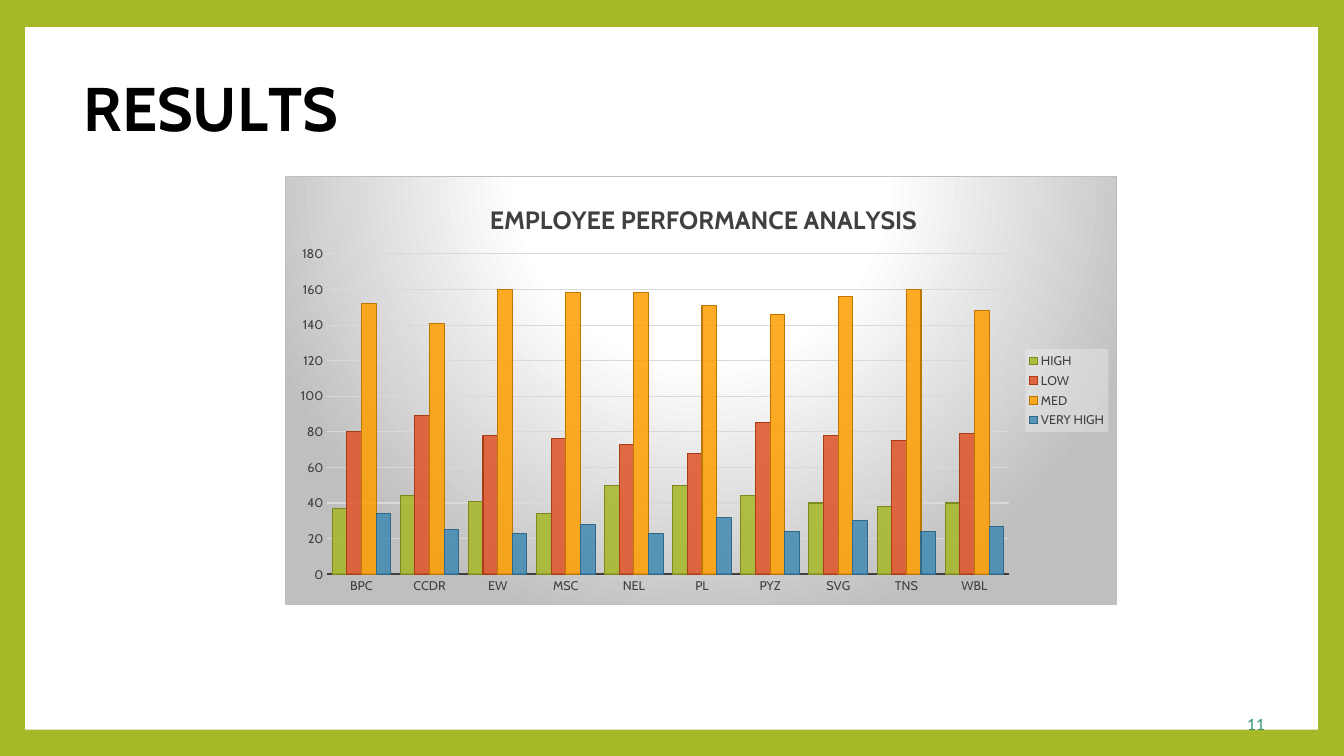
from dataclasses import dataclass

from lxml import etree
from pptx import Presentation
from pptx.chart.data import CategoryChartData
from pptx.dml.color import RGBColor
from pptx.enum.chart import XL_CHART_TYPE, XL_LEGEND_POSITION, XL_TICK_MARK
from pptx.enum.shapes import MSO_SHAPE
from pptx.enum.text import MSO_ANCHOR, PP_ALIGN
from pptx.oxml import parse_xml
from pptx.oxml.ns import nsdecls, qn
from pptx.util import Inches, Pt

COLUMNS = XL_CHART_TYPE.COLUMN_CLUSTERED
LEGEND_RIGHT = XL_LEGEND_POSITION.RIGHT
NO_TICK = XL_TICK_MARK.NONE
RECT = MSO_SHAPE.RECTANGLE
MIDDLE = MSO_ANCHOR.MIDDLE
LEFT = PP_ALIGN.LEFT
TITLE_ONLY = 5


@dataclass(frozen=True)
class Theme:
    frame: str = "A6B727"
    paper: str = "FFFFFF"
    ink: str = "000000"
    number: str = "2D936B"
    label: str = "404040"
    grid: str = "D9D9D9"
    edge: str = "BFBFBF"
    legend: str = "F2F2F2"
    font: str = "Cabin"
    number_font: str = "Lato"
    title_size: int = 44
    number_size: int = 11
    chart_title_size: int = 18
    label_size: int = 9
    hairline: float = 0.75


THEME = Theme()

# Title letters with their tracking in hundredths of a point
TITLE_RUNS = [("RESU", 0), ("L", -400), ("TS", 0)]

TEAMS = ["BPC", "CCDR", "EW", "MSC", "NEL", "PL", "PYZ", "SVG", "TNS", "WBL"]
# Rating: fill, outline, values
RATINGS = {
    "HIGH": ("A6B727", "7D891D", [37, 44, 41, 34, 50, 50, 44, 40, 38, 40]),
    "LOW": ("DF5327", "AB3C19", [80, 89, 78, 76, 73, 68, 85, 78, 75, 79]),
    "MED": ("FE9E00", "BE7600", [152, 141, 160, 158, 158, 151, 146, 156, 160, 148]),
    "VERY HIGH": ("418AB3", "316886", [34, 25, 23, 28, 23, 32, 24, 30, 24, 27]),
}


def rgb(color):
    return RGBColor.from_string(color)


def style_font(font, size, color, name=THEME.font, bold=False):
    font.size, font.name, font.bold = Pt(size), name, bold
    font.color.rgb = rgb(color)


def style_line(line, color, width=THEME.hairline):
    line.color.rgb = rgb(color)
    line.width = Pt(width)


def set_layout(parent, index, **fractions):
    """Place a chart part by fractions of the chart area."""
    for old in parent.findall(qn("c:layout")):
        parent.remove(old)
    layout = etree.Element(qn("c:layout"))
    manual = etree.SubElement(layout, qn("c:manualLayout"))
    if "w" in fractions:
        etree.SubElement(manual, qn("c:layoutTarget"), val="inner")
    for axis in "xy":
        etree.SubElement(manual, qn(f"c:{axis}Mode"), val="edge")
    for key, value in fractions.items():
        etree.SubElement(manual, qn(f"c:{key}"), val=str(value))
    parent.insert(index, layout)


def add_backdrop(slide, left, top, width, height):
    fill = slide.background.fill
    fill.solid()
    fill.fore_color.rgb = rgb(THEME.frame)
    sp = slide.shapes.add_shape(RECT, left, top, width, height)
    sp.shadow.inherit = False
    sp.fill.solid()
    sp.fill.fore_color.rgb = rgb(THEME.paper)
    sp.line.fill.background()
    slide.shapes.element.insert(2, sp.element)  # behind the title


def prepare_text(tf):
    tf.margin_left = tf.margin_right = tf.margin_bottom = 0
    tf.margin_top = Inches(0.01)
    tf.word_wrap = True


def add_title(slide, left, top, width, height):
    sp = slide.shapes.title
    sp.left, sp.top, sp.width, sp.height = left, top, width, height
    tf = sp.text_frame
    prepare_text(tf)
    tf.vertical_anchor = MIDDLE
    p = tf.paragraphs[0]
    p.alignment = LEFT
    for text, tracking in TITLE_RUNS:
        r = p.add_run()
        r.text = text
        style_font(r.font, THEME.title_size, THEME.ink, bold=True)
        r.font._element.set("spc", str(tracking))


def add_slide_number(slide, left, top, width, height):
    tf = slide.shapes.add_textbox(left, top, width, height).text_frame
    prepare_text(tf)
    tf.margin_left = Inches(0.04)
    tf.text = "11"
    style_font(tf.paragraphs[0].runs[0].font, THEME.number_size, THEME.number,
               THEME.number_font)


def style_chart_area(chart):
    stops = [(0, THEME.paper), (39, THEME.paper), (100, THEME.edge)]
    gradient = "".join(
        f'<a:gs pos="{pos * 1000}"><a:srgbClr val="{color}"/></a:gs>'
        for pos, color in stops)
    area = parse_xml(
        f'<c:spPr {nsdecls("c", "a")}><a:gradFill><a:gsLst>{gradient}</a:gsLst>'
        '<a:path path="circle"><a:fillToRect l="50000" t="-80000" r="50000"'
        ' b="180000"/></a:path></a:gradFill>'
        f'<a:ln w="{Pt(THEME.hairline)}"><a:solidFill>'
        f'<a:srgbClr val="{THEME.edge}"/></a:solidFill></a:ln></c:spPr>')
    chart.element.find(qn("c:chart")).addnext(area)


def style_legend(chart):
    chart.has_legend = True
    legend = chart.legend
    legend.position = LEGEND_RIGHT
    legend.include_in_layout = False
    style_font(legend.font, THEME.label_size, THEME.label)
    panel = parse_xml(
        f'<c:spPr {nsdecls("c", "a")}><a:solidFill><a:srgbClr val="{THEME.legend}">'
        '<a:alpha val="39000"/></a:srgbClr></a:solidFill></c:spPr>')
    legend._element.find(qn("c:overlay")).addnext(panel)


def style_axes(chart):
    for axis in (chart.category_axis, chart.value_axis):
        axis.major_tick_mark = axis.minor_tick_mark = NO_TICK
        style_font(axis.tick_labels.font, THEME.label_size, THEME.label)
    style_line(chart.category_axis.format.line, THEME.label, 1.5)
    values = chart.value_axis
    values.minimum_scale, values.maximum_scale, values.major_unit = 0, 180, 20
    values.format.line.fill.background()
    style_line(values.major_gridlines.format.line, THEME.grid)


def style_columns(plot):
    plot.gap_width, plot.overlap = 65, 0
    plot.vary_by_categories = False
    for series, (color, outline, _) in zip(plot.series, RATINGS.values()):
        fill = series.format.fill
        fill.solid()
        fill.fore_color.rgb = rgb(color)
        solid = series._element.find(qn("c:spPr")).find(qn("a:solidFill"))
        etree.SubElement(solid[0], qn("a:alpha"), val="85000")
        style_line(series.format.line, outline)


def add_performance_chart(slide, left, top, width, height):
    data = CategoryChartData()
    data.categories = TEAMS
    for rating, (_, _, values) in RATINGS.items():
        data.add_series(rating, values)
    chart = slide.shapes.add_chart(COLUMNS, left, top, width, height, data).chart
    style_font(chart.font, 10, THEME.ink)
    style_chart_area(chart)
    # Chart title
    tf = chart.chart_title.text_frame
    tf.text = "EMPLOYEE PERFORMANCE ANALYSIS"
    style_font(tf.paragraphs[0].runs[0].font, THEME.chart_title_size, THEME.label,
               bold=True)
    set_layout(chart.chart_title._element, 1, x=0.24, y=0.05)
    # Legend, axes and columns
    style_legend(chart)
    style_axes(chart)
    style_columns(chart.plots[0])
    plot_area = chart.element.find(qn("c:chart")).find(qn("c:plotArea"))
    set_layout(plot_area, 0, x=0.05, y=0.18, w=0.82, h=0.75)


def main():
    prs = Presentation()
    prs.slide_width, prs.slide_height = Inches(13.33), Inches(7.5)
    slide = prs.slides.add_slide(prs.slide_layouts[TITLE_ONLY])
    add_backdrop(slide, Inches(0.25), Inches(0.27), Inches(12.82), Inches(6.97))
    add_title(slide, Inches(0.83), Inches(0.68), Inches(3.84), Inches(0.76))
    add_slide_number(slide, Inches(12.33), Inches(7.08), Inches(0.25), Inches(0.21))
    add_performance_chart(slide, Inches(2.83), Inches(1.75), Inches(8.25), Inches(4.25))
    prs.save("out.pptx")


if __name__ == "__main__":
    main()
